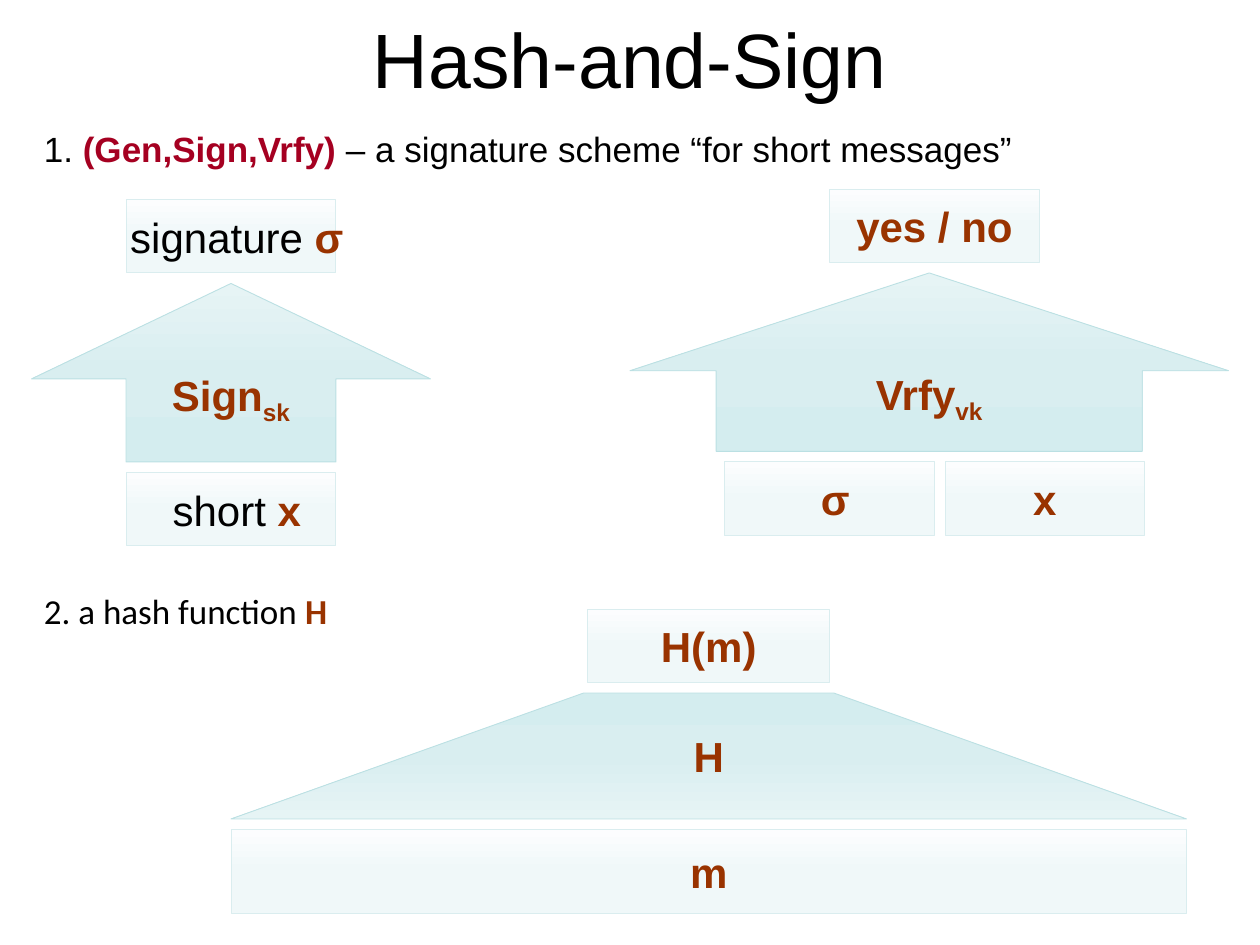
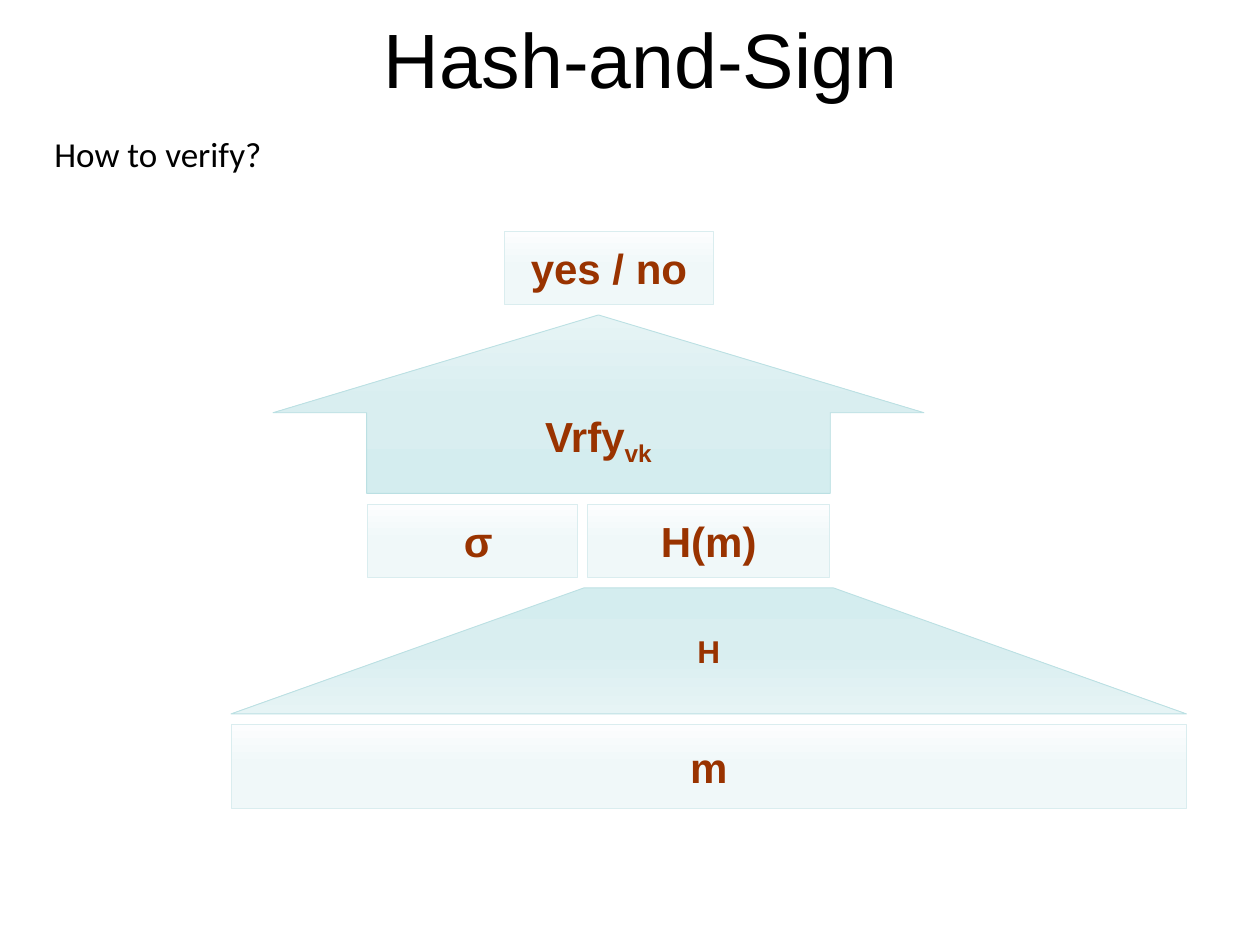
import copy
from dataclasses import dataclass

import pptx
import pptx.dml.color
import pptx.enum.shapes
import pptx.enum.text
import pptx.util


@dataclass(frozen=True)
class Theme:
    ink: str = "000000"
    accent: str = "993300"
    scheme: str = "A50021"
    box_fill: tuple = ("FCFDFE", "F0F8F9", "EEF7F8")
    box_line: str = "DAEDEF"
    step_fill: tuple = ("E6F4F5", "D9EEF0", "D4EDEF")
    step_line: str = "BBE0E3"
    line_width: float = 0.5
    heading_font: str = "Arial"
    note_font: str = "Calibri"
    title_size: int = 44
    label_size: int = 24
    small_label_size: int = 18
    note_size: int = 20


THEME = Theme()
COLUMNS, ROWS = 120, 90
CELL = pptx.util.Inches(10) // COLUMNS
BOX_WIDTH, BOX_HEIGHT = 20, 7
ARROW_HEIGHT, GAP = 17, 1
SHAPES = pptx.enum.shapes.MSO_SHAPE
ALIGN = pptx.enum.text.PP_ALIGN
ANCHOR = pptx.enum.text.MSO_ANCHOR


def cells(*counts):
    return [round(count * CELL) for count in counts]


def rgb(code):
    return pptx.dml.color.RGBColor.from_string(code)


def plain(text):
    return text, THEME.ink, False, 0


def key(text, color=THEME.accent, baseline=0):
    return text, color, True, baseline


def write(shape, spans, size=THEME.label_size, font=THEME.heading_font,
          align=ALIGN.CENTER, anchor=ANCHOR.MIDDLE, wrap=False, hanging=False):
    frame = shape.text_frame
    frame.word_wrap = wrap
    frame.vertical_anchor = anchor
    para = frame.paragraphs[0]
    para.alignment = align
    if hanging:
        indent = pptx.util.Inches(0.38)
        properties = para._p.get_or_add_pPr()
        properties.set("marL", str(indent))
        properties.set("indent", str(-indent))
        para.line_spacing = 0.9
        para.space_before = pptx.util.Pt(4)
    for text, color, bold, baseline in spans:
        span = para.add_run()
        span.text = text
        span.font.name = font
        span.font.size = pptx.util.Pt(size)
        span.font.bold = bold
        span.font.color.rgb = rgb(color)
        if baseline:
            span._r.get_or_add_rPr().set("baseline", str(baseline * 1000))


def paint(shape, colors, line):
    shape.shadow.inherit = False
    shape.fill.gradient()
    shape.fill.gradient_angle = 270
    stop_list = shape._element.spPr.find(".//" + pptx.oxml.ns.qn("a:gsLst"))
    stop_list.insert(1, copy.deepcopy(stop_list[0]))
    for stop, color, position in zip(shape.fill.gradient_stops, colors, (0, 0.5, 1)):
        stop.color.rgb = rgb(color)
        stop.position = position
    shape.line.color.rgb = rgb(line)
    shape.line.width = pptx.util.Pt(THEME.line_width)


def add_text(page, place, spans, **style):
    write(page.shapes.add_textbox(*cells(*place)), spans, **style)


def add_title(page, column):
    add_text(page, (column, -2, 108, 15), [plain("Hash-and-Sign")],
             size=THEME.title_size, wrap=True)


def add_note(page, place, spans, **style):
    add_text(page, place, spans, size=THEME.note_size, align=ALIGN.LEFT,
             anchor=ANCHOR.TOP, **style)


def add_box(page, column, row, spans, width=BOX_WIDTH, height=BOX_HEIGHT):
    box = page.shapes.add_shape(SHAPES.RECTANGLE, *cells(column, row, width, height))
    paint(box, THEME.box_fill, THEME.box_line)
    write(box, spans)


def add_arrow(page, column, row, width, shaft, head, name, key_name):
    arrow = page.shapes.add_shape(SHAPES.UP_ARROW,
                                  *cells(column, row, width, ARROW_HEIGHT))
    arrow.adjustments[0], arrow.adjustments[1] = shaft, head
    paint(arrow, THEME.step_fill, THEME.step_line)
    write(arrow, [key(name), key(key_name, baseline=-25)])


def add_funnel(page, column, row, width, height, slope, **style):
    right, bottom = column + width, row + height
    start, *others = [cells(*point) for point in (
        (right, bottom), (right - slope, row), (column + slope, row), (column, bottom))]
    builder = page.shapes.build_freeform(*start)
    builder.add_line_segments(others, close=True)
    funnel = builder.convert_to_shape()
    paint(funnel, THEME.step_fill[::-1], THEME.step_line)
    write(funnel, [key("H")], **style)


def add_signing(page, row):
    arrow_row = row + BOX_HEIGHT + GAP
    add_box(page, 12, row, [plain(" signature "), key("σ")])
    add_arrow(page, 3, arrow_row, 38, 0.526, 0.535, "Sign", "sk")
    add_box(page, 12, arrow_row + ARROW_HEIGHT + GAP, [plain(" short "), key("x")])


def add_verifying(page, row, result_column, arrow_column, arrow_width, sigma_column):
    arrow_row = row + BOX_HEIGHT + GAP
    add_box(page, result_column, row, [key("yes / no")])
    add_arrow(page, arrow_column, arrow_row, arrow_width, 0.712, 0.548, "Vrfy", "vk")
    add_box(page, sigma_column, arrow_row + ARROW_HEIGHT + GAP, [plain(" "), key("σ")])


def add_hashing(page, row, size):
    column, width, height = 22, 91, 12
    funnel_row = row + BOX_HEIGHT + GAP
    add_box(page, 56, row, [key("H(m)")], width=23)
    add_funnel(page, column, funnel_row, width, height, slope=33.6, size=size)
    add_box(page, column, funnel_row + height + GAP, [key("m")], width=width, height=8)


def build_parts_page(page):
    add_title(page, 6)
    add_note(page, (3, 12, 113, 10),
             [plain("1."), key(" (Gen,Sign,Vrfy) ", color=THEME.scheme),
              plain("– a signature scheme “for short messages”")],
             wrap=True, hanging=True)
    add_signing(page, 19)
    add_verifying(page, 18, result_column=79, arrow_column=60, arrow_width=57,
                  sigma_column=69)
    add_box(page, 90, 44, [key("x")], width=19)
    add_note(page, (3, 56, 113, 10), [plain("2. a hash function "), key("H")],
             font=THEME.note_font, wrap=True, hanging=True)
    add_hashing(page, 58, THEME.label_size)


def build_verify_page(page):
    add_title(page, 7)
    add_note(page, (4, 12, 23.5, 5.2), [plain("How to verify?")], font=THEME.note_font)
    add_verifying(page, 22, result_column=48, arrow_column=26, arrow_width=62,
                  sigma_column=35)
    add_hashing(page, 48, THEME.small_label_size)


def main():
    deck = pptx.Presentation()
    deck.slide_width, deck.slide_height = cells(COLUMNS, ROWS)
    for build in (build_parts_page, build_verify_page):
        build(deck.slides.add_slide(deck.slide_layouts[6]))
    deck.save("out.pptx")


main()
